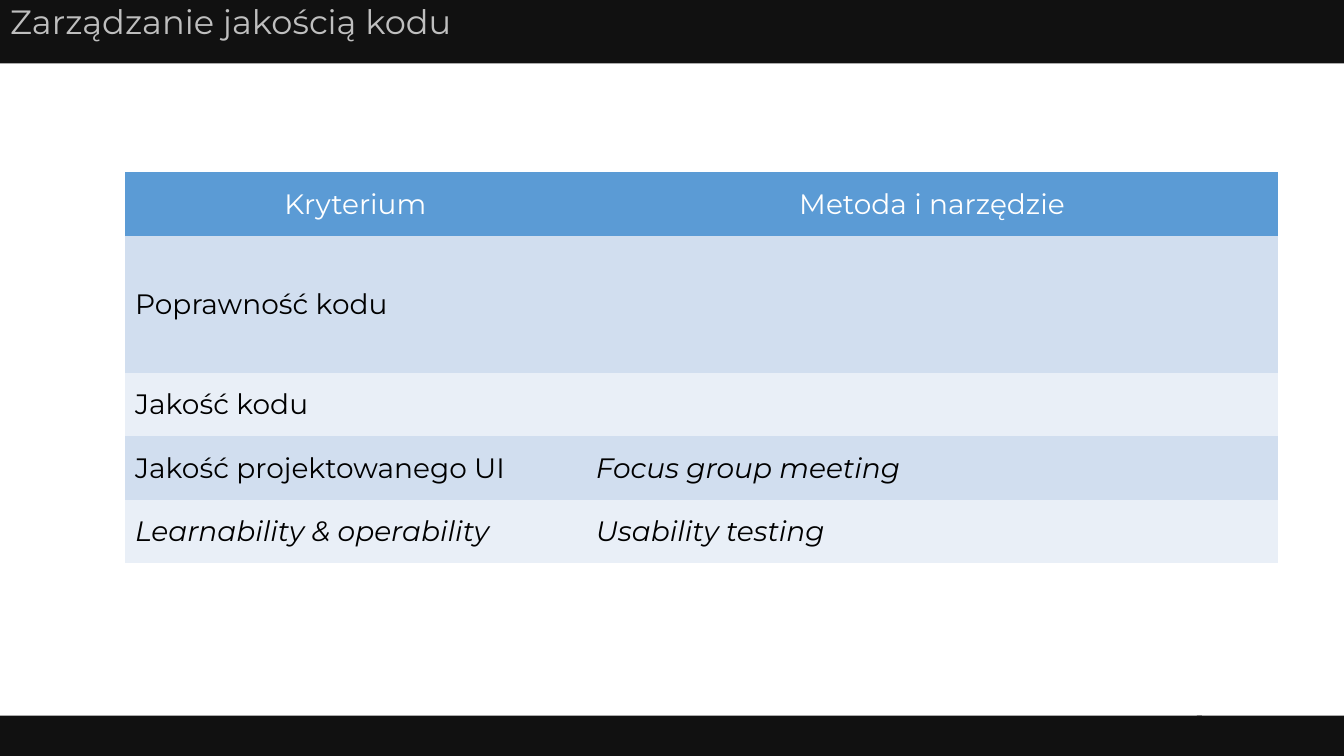
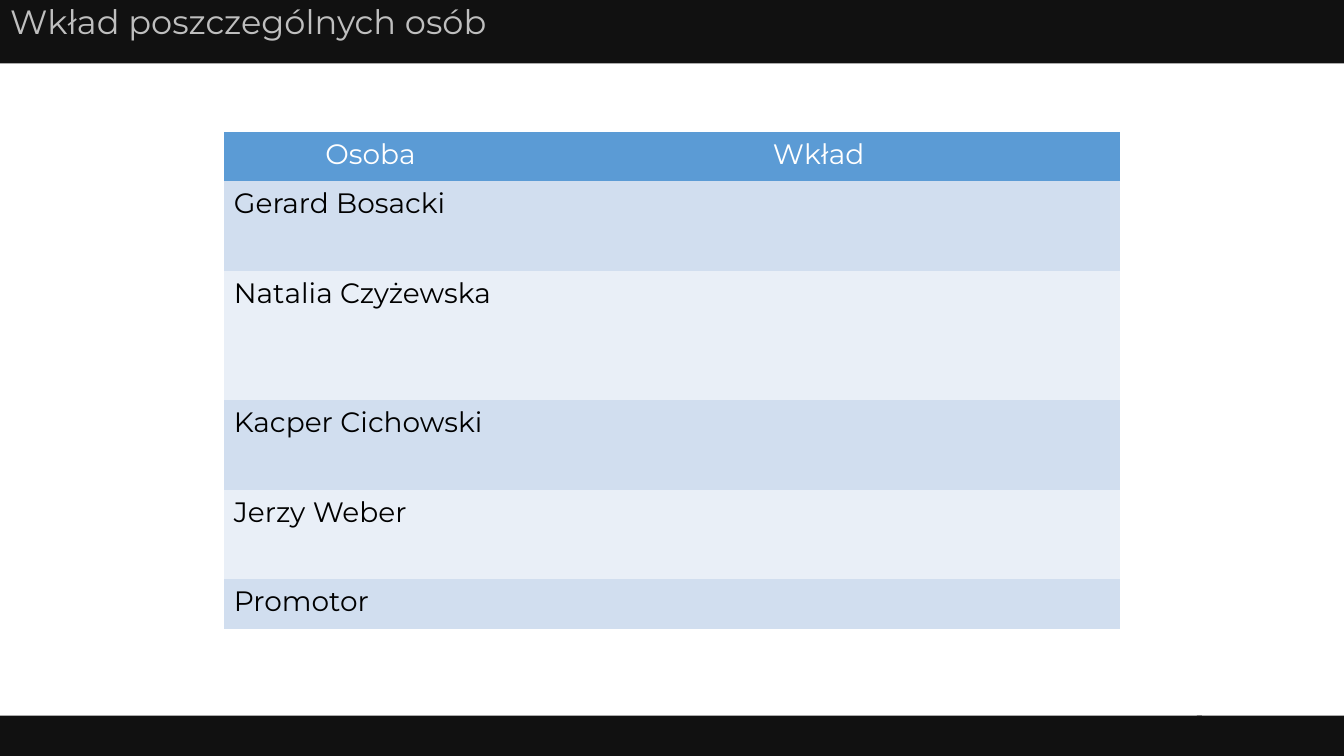
from dataclasses import dataclass

from pptx import Presentation
from pptx.dml.color import RGBColor
from pptx.enum.shapes import MSO_SHAPE
from pptx.enum.text import MSO_ANCHOR, MSO_AUTO_SIZE, PP_ALIGN
from pptx.oxml.ns import qn
from pptx.util import Inches, Pt


@dataclass(frozen=True)
class Theme:
    band: RGBColor = RGBColor.from_string("111111")
    title: RGBColor = RGBColor.from_string("BFBFBF")
    header: RGBColor = RGBColor.from_string("5B9BD5")
    odd_row: RGBColor = RGBColor.from_string("D1DEEF")
    even_row: RGBColor = RGBColor.from_string("E9EFF7")
    light: RGBColor = RGBColor.from_string("FFFFFF")
    dark: RGBColor = RGBColor.from_string("000000")
    font: str = "Montserrat"
    title_size: Pt = Pt(24)
    table_size: Pt = Pt(20)


THEME = Theme()
WIDTH, HEIGHT = 13.33, 7.5
TITLE_HEIGHT = 0.63
FOOTER_HEIGHT = 0.4
NUMBER_LEFT = 11.87
FOOTER_OVERLAP = 0.05
PLAIN_TABLE_STYLE = "{2D5ABB26-0587-4C30-8999-92F81FD0307C}"


def style_font(font, size, color):
    font.name = THEME.font
    font.size = size
    font.color.rgb = color


def fill_solid(target, color):
    target.fill.solid()
    target.fill.fore_color.rgb = color


def add_title(slide, text, left, top, width, height):
    title = slide.shapes.title
    title.left, title.top = Inches(left), Inches(top)
    title.width, title.height = Inches(width), Inches(height)
    fill_solid(title, THEME.band)
    frame = title.text_frame
    frame.text = text
    frame.auto_size = MSO_AUTO_SIZE.NONE
    frame.vertical_anchor = MSO_ANCHOR.TOP
    paragraph = frame.paragraphs[0]
    paragraph.alignment = PP_ALIGN.LEFT
    paragraph.line_spacing = 0.9
    paragraph.space_before = Pt(0)
    style_font(paragraph.font, THEME.title_size, THEME.title)


def add_footer_band(slide, left, top, width, height):
    band = slide.shapes.add_shape(
        MSO_SHAPE.RECTANGLE, Inches(left), Inches(top), Inches(width), Inches(height)
    )
    band.shadow.inherit = False
    fill_solid(band, THEME.band)
    band.line.fill.background()


def add_grid(slide, rows, left, top, column_widths, row_heights, anchor, italic=()):
    frame = slide.shapes.add_table(
        len(rows), len(column_widths), Inches(left), Inches(top),
        Inches(sum(column_widths)), Inches(sum(row_heights)),
    )
    table = frame.table
    table.first_row = table.horz_banding = False
    table._tbl.tblPr.find(qn("a:tableStyleId")).text = PLAIN_TABLE_STYLE
    for column, width in zip(table.columns, column_widths):
        column.width = Inches(width)
    for index, (row, height, texts) in enumerate(zip(table.rows, row_heights, rows)):
        row.height = Inches(height)
        is_header = index == 0
        if is_header:
            fill = THEME.header
        else:
            fill = THEME.odd_row if index % 2 else THEME.even_row
        for cell, text in zip(row.cells, texts):
            fill_solid(cell, fill)
            cell.vertical_anchor = anchor
            if not text:
                continue
            cell.text = text
            paragraph = cell.text_frame.paragraphs[0]
            paragraph.alignment = PP_ALIGN.CENTER if is_header else PP_ALIGN.LEFT
            color = THEME.light if is_header else THEME.dark
            style_font(paragraph.font, THEME.table_size, color)
            paragraph.font.italic = text in italic


def add_table_slide(presentation, title, **grid):
    slide = presentation.slides.add_slide(presentation.slide_layouts[5])
    add_title(slide, title, 0, 0, WIDTH, TITLE_HEIGHT)
    footer_top = HEIGHT - FOOTER_HEIGHT
    add_footer_band(slide, 0, footer_top, NUMBER_LEFT + FOOTER_OVERLAP, FOOTER_HEIGHT)
    add_footer_band(slide, NUMBER_LEFT, footer_top, WIDTH - NUMBER_LEFT, FOOTER_HEIGHT)
    add_grid(slide, **grid)


def main():
    presentation = Presentation()
    presentation.slide_width = Inches(WIDTH)
    presentation.slide_height = Inches(HEIGHT)

    add_table_slide(
        presentation, "Zarządzanie jakością kodu",
        rows=[
            ("Kryterium", "Metoda i narzędzie"),
            ("Poprawność kodu", ""),
            ("Jakość kodu", ""),
            ("Jakość projektowanego UI", "Focus group meeting"),
            ("Learnability & operability", "Usability testing"),
        ],
        left=1.24, top=1.71,
        column_widths=(4.57, 6.87),
        row_heights=(0.63, 1.36, 0.63, 0.63, 0.63),
        anchor=MSO_ANCHOR.MIDDLE,
        italic=("Focus group meeting", "Learnability & operability", "Usability testing"),
    )

    people = ("Gerard Bosacki", "Natalia Czyżewska", "Kacper Cichowski",
              "Jerzy Weber", "Promotor")
    add_table_slide(
        presentation, "Wkład poszczególnych osób",
        rows=[("Osoba", "Wkład")] + [(person, "") for person in people],
        left=2.22, top=1.31,
        column_widths=(2.91, 5.98),
        row_heights=(0.49, 0.89, 1.28, 0.89, 0.89, 0.49),
        anchor=MSO_ANCHOR.TOP,
    )

    presentation.save("out.pptx")


if __name__ == "__main__":
    main()
